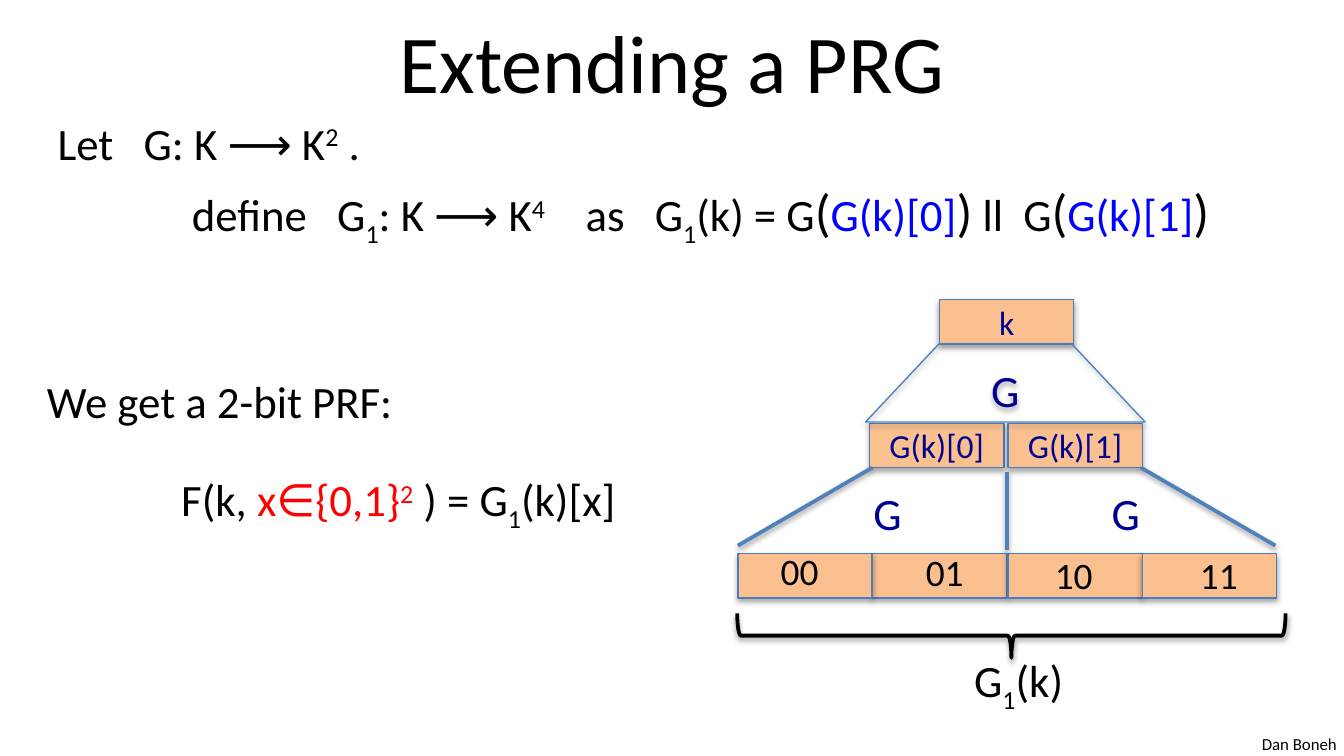
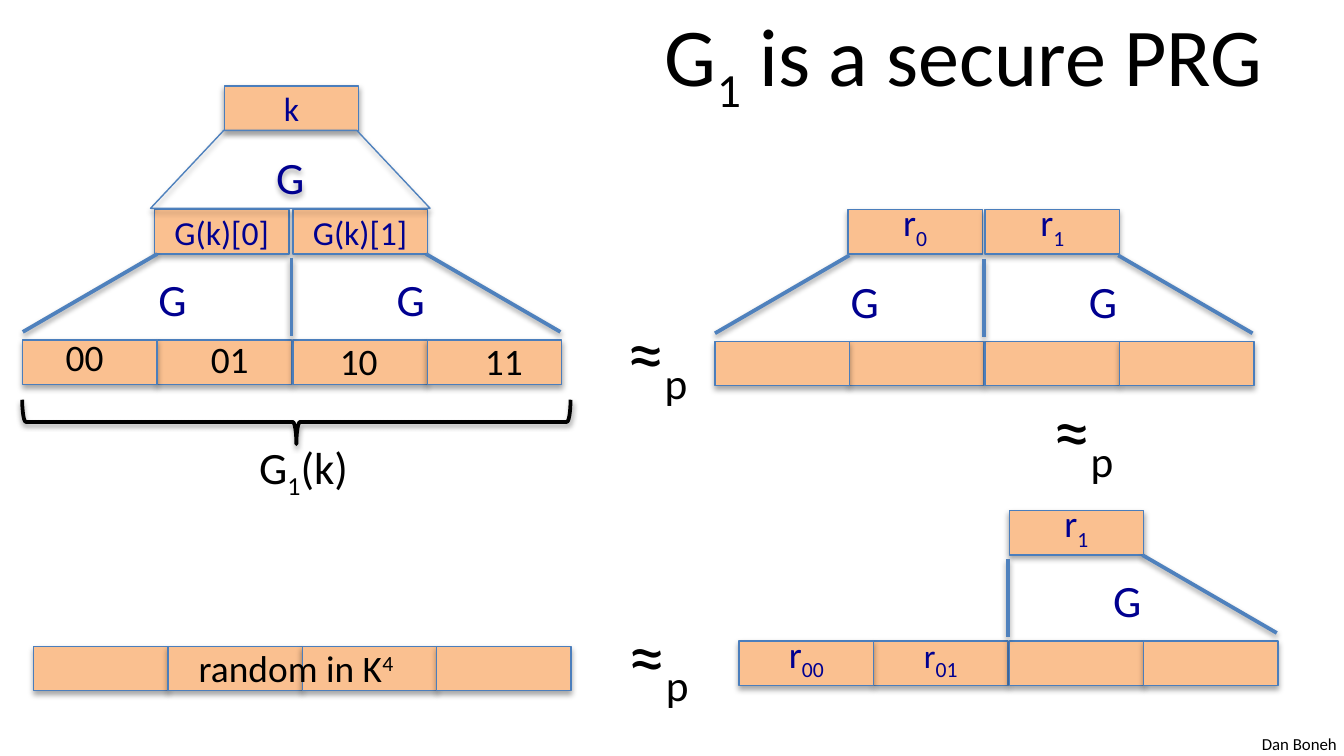
from dataclasses import dataclass
from typing import Any, NamedTuple

from lxml.etree import SubElement
from pptx import Presentation
from pptx.dml.color import RGBColor
from pptx.enum.shapes import MSO_CONNECTOR, MSO_SHAPE
from pptx.enum.text import MSO_ANCHOR, MSO_AUTO_SIZE, PP_ALIGN
from pptx.oxml.ns import qn
from pptx.util import Inches, Pt

BLACK, NAVY, BLUE, RED = "000000", "000090", "0000FF", "FF0000"
PEACH, CELL_EDGE, FAN_EDGE = "FAC090", "4B7EBC", "4F81BD"
FONT = "Calibri"
SUB, SUPER = -25, 30
CELL_HEIGHT = 0.33
RAISED_MARGINS = (0.1, 0.05, 0.1, 0.15)
CELL_SHADOW = {"alpha": 35, "distance": 1.8}
LINE_SHADOW = {"alpha": 38, "distance": 1.6}


class Span(NamedTuple):
    text: str
    shift: int = 0
    size: float | None = None
    color: str | None = None


@dataclass
class Para:
    spans: list[Span]
    size: float = 24
    color: str = BLACK
    align: PP_ALIGN = PP_ALIGN.LEFT
    before: float = 0


class Code(NamedTuple):
    text: str
    dx: float
    dy: float


CODES = [
    Code("00", -1.78, 0.55),
    Code("01", -0.7, 0.56),
    Code("10", 0.26, 0.58),
    Code("11", 1.34, 0.58),
]


def rgb(color: str) -> RGBColor:
    return RGBColor.from_string(color)


def assign(target: Any, values: dict[str, Any]) -> None:
    for name, value in values.items():
        setattr(target, name, value)


def plain(text: str, **formats: Any) -> Para:
    return Para([Span(text)], **formats)


def write(frame: Any, paras: list[Para], **formats: Any) -> None:
    assign(frame, formats)
    for index, para in enumerate(paras):
        target = frame.add_paragraph() if index else frame.paragraphs[0]
        assign(target, {"alignment": para.align, "space_before": Pt(para.before)})
        target._p.get_or_add_pPr().set("defTabSz", str(Inches(1)))
        for span in para.spans:
            run = target.add_run()
            run.text = span.text
            assign(run.font, {"name": FONT, "size": Pt(span.size or para.size)})
            run.font.color.rgb = rgb(span.color or para.color)
            if span.shift:
                run.font._element.set("baseline", str(span.shift * 1000))


def outline(item: Any, color: str, width: float, alpha: int, distance: float) -> None:
    item.line.color.rgb = rgb(color)
    item.line.width = Pt(width)
    effects = SubElement(item._element.spPr, qn("a:effectLst"))
    shadow = SubElement(effects, qn("a:outerShdw"), {
        "blurRad": str(Pt(3.1)), "dist": str(Pt(distance)),
        "dir": "5400000", "rotWithShape": "0",
    })
    tint = SubElement(shadow, qn("a:srgbClr"), val=BLACK)
    SubElement(tint, qn("a:alpha"), val=str(alpha * 1000))


def add_box(page: Any, left: float, top: float, width: float, height: float,
            paras: list[Para], **formats: Any) -> None:
    box = page.shapes.add_textbox(Inches(left), Inches(top), Inches(width), Inches(height))
    write(box.text_frame, paras, **formats)


def add_label(page: Any, left: float, top: float, width: float, height: float,
              paras: list[Para]) -> None:
    add_box(page, left, top, width, height, paras,
            word_wrap=False, auto_size=MSO_AUTO_SIZE.SHAPE_TO_FIT_TEXT)


def add_preset(page: Any, preset: MSO_SHAPE, left: float, top: float, width: float,
               height: float, fill: str | None = None) -> Any:
    shape = page.shapes.add_shape(
        preset, Inches(left), Inches(top), Inches(width), Inches(height))
    if fill:
        shape.fill.solid()
        shape.fill.fore_color.rgb = rgb(fill)
    else:
        shape.fill.background()
    return shape


def add_cell(page: Any, left: float, top: float, spans: list[Span] | None = None,
             size: float = 18, raised: bool = False) -> None:
    cell = add_preset(page, MSO_SHAPE.RECTANGLE, left, top, 1, CELL_HEIGHT, PEACH)
    outline(cell, CELL_EDGE, 0.75, **CELL_SHADOW)
    if spans:
        formats: dict[str, Any] = {"vertical_anchor": MSO_ANCHOR.MIDDLE}
        if raised:
            sides = ("margin_left", "margin_top", "margin_right", "margin_bottom")
            formats |= {side: Inches(gap) for side, gap in zip(sides, RAISED_MARGINS)}
        write(cell.text_frame, [Para(spans, size, NAVY, PP_ALIGN.CENTER)], **formats)


def add_random_cell(page: Any, left: float, top: float, index: str,
                    letter_size: float = 20) -> None:
    add_cell(page, left, top, [Span("r", size=letter_size), Span(index, SUB)], 20, True)


def add_line(page: Any, x1: float, y1: float, x2: float, y2: float) -> None:
    line = page.shapes.add_connector(
        MSO_CONNECTOR.STRAIGHT, Inches(x1), Inches(y1), Inches(x2), Inches(y2))
    outline(line, FAN_EDGE, 2, **LINE_SHADOW)


def add_half_fan(page: Any, center: float, top: float, side: int) -> None:
    left = side < 0
    add_box(page, center + (-1.09 if left else 0.01), top, 1.08, 0.67,
            [plain("G", color=NAVY, align=PP_ALIGN.LEFT if left else PP_ALIGN.RIGHT)],
            word_wrap=True, vertical_anchor=MSO_ANCHOR.MIDDLE)
    for offset in (-1, -2) if left else (0.01, 1.01):
        add_cell(page, center + offset, top + 0.64)
    add_line(page, center + side, top, center + 2 * side, top + 0.58)


def add_stem(page: Any, center: float, top: float) -> None:
    add_line(page, center, top + 0.03, center, top + 0.61)


def add_fan(page: Any, center: float, top: float) -> None:
    for side in (-1, 1):
        add_half_fan(page, center, top, side)
    add_stem(page, center, top)


def add_tree(page: Any, center: float, top: float) -> None:
    add_cell(page, center - 1.02, top - CELL_HEIGHT, [Span("G(k)[0]")])
    add_cell(page, center - 0.5, top - 1.25, [Span("k")])
    add_cell(page, center + 0.01, top - CELL_HEIGHT, [Span("G(k)[1]")])
    trapezoid = add_preset(
        page, MSO_SHAPE.TRAPEZOID, center - 1.05, top - 0.92, 2.08, 0.58)
    trapezoid.adjustments[0] = 0.94
    outline(trapezoid, FAN_EDGE, 0.75, **CELL_SHADOW)
    write(trapezoid.text_frame, [plain("G", color=NAVY, align=PP_ALIGN.CENTER)],
          vertical_anchor=MSO_ANCHOR.MIDDLE)
    add_fan(page, center, top)
    for code in CODES:
        add_label(page, center + code.dx, top + code.dy, 0.49, 0.44,
                  [plain(code.text, size=20)])
    brace = add_preset(
        page, MSO_SHAPE.RIGHT_BRACE, center - 0.13, top - 0.79, 0.33, 4.08)
    brace.rotation = 90
    outline(brace, BLACK, 2, **LINE_SHADOW)
    add_label(page, center - 0.34, top + 1.33, 0.89, 0.5,
              [Para([Span("G"), Span("1", SUB), Span("(k)")])])


def add_page(deck: Any, title: list[Span], align: PP_ALIGN) -> Any:
    page = deck.slides.add_slide(deck.slide_layouts[5])
    heading = page.shapes.title
    assign(heading, {"left": Inches(0.5), "top": Inches(-0.02),
                     "width": Inches(9), "height": Inches(0.94)})
    write(heading.text_frame, [Para(title, 44, align=align)],
          vertical_anchor=MSO_ANCHOR.MIDDLE, auto_size=MSO_AUTO_SIZE.NONE)
    add_label(page, 9.29, 5.41, 0.76, 0.25, [plain("Dan Boneh", size=9)])
    return page


def build_extending(deck: Any) -> None:
    page = add_page(deck, [Span("Extending a PRG")], PP_ALIGN.CENTER)
    definition = [
        Span("\tdefine   G"), Span("1", SUB), Span(": K ⟶ K"), Span("4", SUPER),
        Span("    as   G"), Span("1", SUB), Span("(k) = G"),
        Span("(", size=28), Span("G(k)[0]", color=BLUE), Span(")", size=28),
        Span(" ll  G"),
        Span("(", size=28), Span("G(k)[1]", color=BLUE), Span(")", size=28),
    ]
    add_box(page, 0.33, 0.81, 9, 1.33, [
        Para([Span("Let   G: K ⟶ K"), Span("2", SUPER), Span(" .")], before=5.6),
        Para(definition, before=5.6),
    ], word_wrap=True)
    add_tree(page, 7.49, 3.48)
    add_label(page, 0.25, 2.73, 4.55, 1.65, [
        plain("We get a 2-bit PRF:"),
        Para([Span("\tF(k, "), Span("x∈{0,1}", color=RED),
              Span("2", SUPER, color=RED), Span(" ) = G"), Span("1", SUB),
              Span("(k)[x]")], before=24),
    ])


def build_security(deck: Any) -> None:
    page = add_page(
        deck, [Span("G"), Span("1", SUB), Span(" is a secure PRG")], PP_ALIGN.RIGHT)
    add_tree(page, 2.17, 1.89)

    for column in range(4):
        add_cell(page, 0.25 + column, 4.81)
    add_label(page, 1.38, 4.75, 1.69, 0.44,
              [Para([Span("random in K"), Span("4", SUPER)], 20)])

    add_random_cell(page, 6.31, 1.56, "0")
    add_random_cell(page, 7.33, 1.56, "1")
    add_fan(page, 7.32, 1.9)

    add_random_cell(page, 7.51, 3.8, "1")
    add_random_cell(page, 6.5, 4.77, "01", 18)
    add_random_cell(page, 5.5, 4.77, "00")
    add_half_fan(page, 7.5, 4.13, 1)
    add_stem(page, 7.5, 4.13)

    for left, top in ((4.57, 2.23), (7.74, 2.81), (4.58, 4.48)):
        add_label(page, left, top, 0.68, 0.77,
                  [Para([Span("≈"), Span("p", SUB)], 40)])


def main() -> None:
    deck = Presentation()
    width = Inches(10)
    assign(deck, {"slide_width": width, "slide_height": width * 9 // 16})
    build_extending(deck)
    build_security(deck)
    deck.save("out.pptx")


if __name__ == "__main__":
    main()
